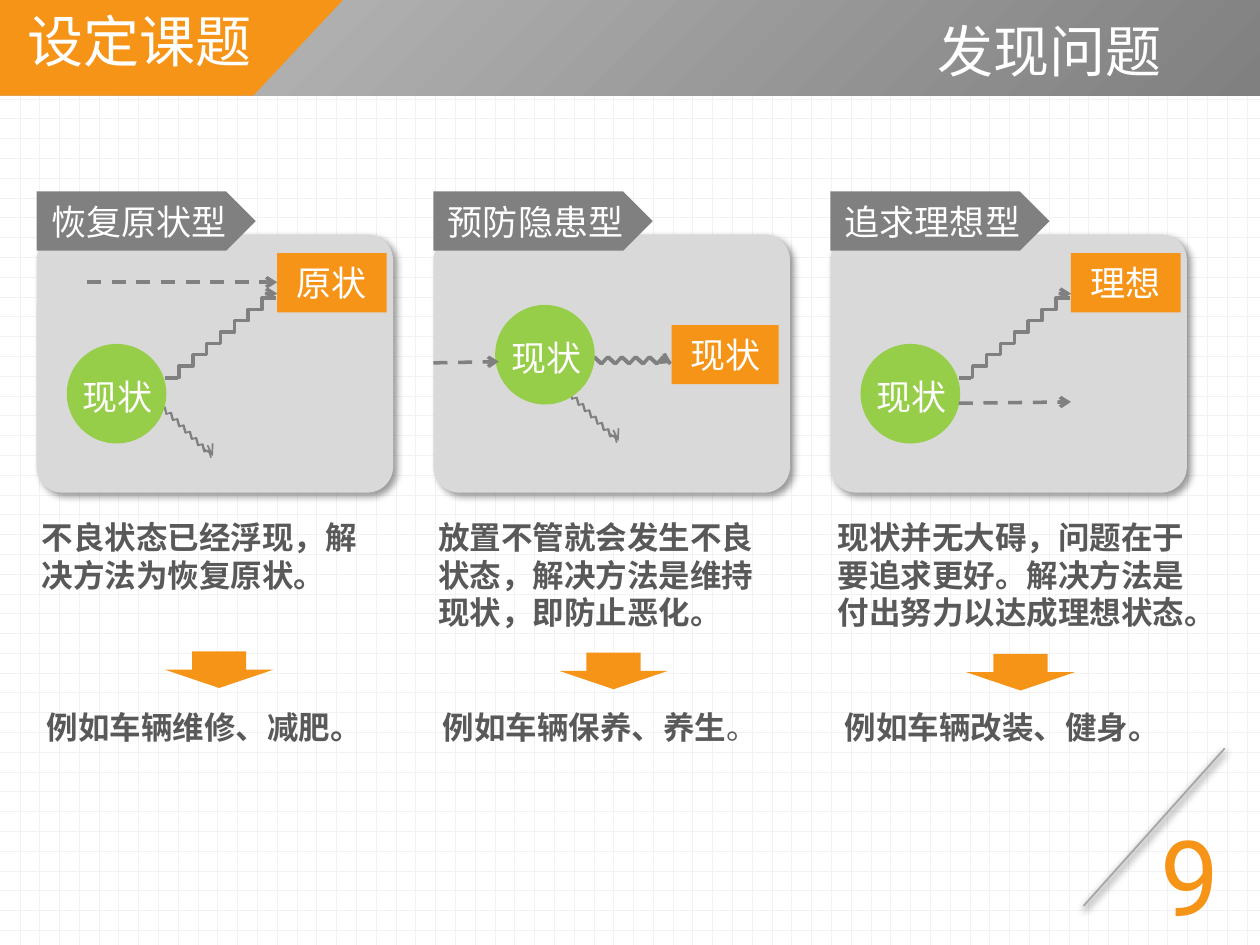
from dataclasses import dataclass
from typing import Optional

from lxml.etree import SubElement
from pptx import Presentation
from pptx.dml.color import RGBColor
from pptx.enum.dml import MSO_LINE, MSO_PATTERN
from pptx.enum.shapes import MSO_CONNECTOR, MSO_SHAPE
from pptx.enum.text import MSO_ANCHOR, MSO_AUTO_SIZE, PP_ALIGN
from pptx.oxml import parse_xml
from pptx.oxml.ns import nsdecls, qn
from pptx.util import Inches, Pt


@dataclass(frozen=True)
class Theme:
    orange: str = "F69418"
    green: str = "96CD49"
    gray: str = "808080"
    silver: str = "BFBFBF"
    rule: str = "A6A6A6"
    panel: str = "D9D9D9"
    grid: str = "F2F2F2"
    ink: str = "595959"
    white: str = "FFFFFF"
    font: str = "Noto Sans CJK SC"
    topic_font: str = "Noto Sans CJK JP"
    number_font: str = "Roboto"
    title: int = 32
    label: int = 20
    body: int = 18
    number: int = 60


T = Theme()


@dataclass(frozen=True)
class Zigzag:
    """A chain of elbows; all offsets are measured from its start point."""
    first: tuple
    step: tuple
    size: tuple
    rotation: int
    weight: int
    tail: tuple
    head: tuple
    count: int = 7


STAIRS = Zigzag((0.11, -0.05), (0.11, -0.09), (0.22, 0.09), 0, 2,
                (0.1, 0), (0.86, -0.67, 0.89, -0.67))
WAVE = Zigzag((0.08, 0.03), (0.11, 0), (0.16, 0.07), 42, 2,
              (0.05, 0.05), (0.81, 0.04, 0.83, 0.05))
DECLINE = Zigzag((0.03, 0.05), (0.05, 0.05), (0.12, 0.04), 75, 1,
                 (0.01, 0.06), (0.37, 0.37, 0.38, 0.39))


@dataclass(frozen=True)
class ProblemType:
    """One column; places are offsets from the top left of its panel."""
    name: str
    goal: str
    goal_box: tuple
    state_at: tuple
    trend: tuple
    zigzags: tuple
    text: str
    text_box: tuple
    arrow_at: tuple
    example: str
    example_box: tuple
    example_end: Optional[str] = None


PROBLEM_TYPES = (
    ProblemType("恢复原状型", "原状", (1.91, 0.15, 0.87, 0.47), (0.24, 0.87),
                (0.4, 0.38, 1.91, 0.38),
                ((STAIRS, 1.02, 1.14), (DECLINE, 1.02, 1.37)),
                "不良状态已经浮现，解决方法为恢复原状。", (0, 2.2, 2.83, 0.71),
                (1.02, 3.31), "例如车辆维修、减肥。", (-0.06, 3.71, 2.78, 0.4)),
    ProblemType("预防隐患型", "现状", (1.89, 0.72, 0.85, 0.47), (0.49, 0.56),
                (0, 1.02, 0.52, 1.01),
                ((WAVE, 1.06, 0.97), (DECLINE, 1.09, 1.25)),
                "放置不管就会发生不良状态，解决方法是维持现状，即防止恶化。",
                (0, 2.2, 2.83, 1.01),
                (1, 3.32), "例如车辆保养、养生", (-0.09, 3.71, 2.83, 0.4), "。"),
    ProblemType("追求理想型", "理想", (1.91, 0.15, 0.87, 0.47), (0.24, 0.87),
                (1.02, 1.34, 1.91, 1.33),
                ((STAIRS, 1.02, 1.14),),
                "现状并无大碍，问题在于要追求更好。解决方法是付出努力以达成理想状态。",
                (0.02, 2.2, 2.98, 1.01),
                (1.08, 3.33), "例如车辆改装、健身。", (-0.05, 3.71, 2.83, 0.4)),
)


def add_run(paragraph, text, size, color, font=T.font, bold=False):
    run = paragraph.add_run()
    run.text = text
    run.font.size, run.font.bold, run.font.name = Pt(size), bold, font
    run.font.color.rgb = RGBColor.from_string(color)
    SubElement(run.font._element, qn("a:ea"), typeface=font)


def add_text(slide, box, text, size, color, font=T.font, bold=False,
             align=PP_ALIGN.LEFT, anchor=MSO_ANCHOR.TOP, side=0.1):
    """Add a one-paragraph text box and return the paragraph."""
    frame = slide.shapes.add_textbox(*map(Inches, box)).text_frame
    frame.word_wrap = True
    frame.auto_size = MSO_AUTO_SIZE.NONE
    frame.vertical_anchor = anchor
    frame.margin_left = frame.margin_right = Inches(side)
    paragraph = frame.paragraphs[0]
    paragraph.alignment = align
    add_run(paragraph, text, size, color, font, bold)
    return paragraph


def add_block(slide, kind, box, color, label=None):
    block = slide.shapes.add_shape(kind, *map(Inches, box))
    block.shadow.inherit = False
    block.fill.solid()
    block.fill.fore_color.rgb = RGBColor.from_string(color)
    block.line.fill.background()
    if label:
        block.text_frame.vertical_anchor = MSO_ANCHOR.MIDDLE
        paragraph = block.text_frame.paragraphs[0]
        paragraph.alignment = PP_ALIGN.CENTER
        add_run(paragraph, label, T.label, T.white)
    return block


def add_shadow(properties, alpha, blur, distance, angle):
    effects = properties.find(qn("a:effectLst"))
    shadow = SubElement(effects, qn("a:outerShdw"), blurRad=str(Pt(blur)),
                        dist=str(Pt(distance)), dir=str(angle * 60000),
                        algn="tl", rotWithShape="0")
    color = SubElement(shadow, qn("a:srgbClr"), val="000000")
    SubElement(color, qn("a:alpha"), val=str(alpha * 1000))


def add_line(slide, ends, weight, color=T.gray, kind=MSO_CONNECTOR.STRAIGHT,
             arrow=False, dashed=False, rotation=0):
    line = slide.shapes.add_connector(kind, *map(Inches, ends))
    line.line.width = Pt(weight)
    line.line.color.rgb = RGBColor.from_string(color)
    if dashed:
        line.line.dash_style = MSO_LINE.DASH
    properties = line._element.spPr
    if arrow:
        SubElement(properties.find(qn("a:ln")), qn("a:tailEnd"), type="arrow")
    if rotation:
        properties.find(qn("a:xfrm")).set("rot", str(rotation * 60000))
    SubElement(properties, qn("a:effectLst"))
    return line


def add_zigzag(slide, zigzag, x, y):
    half_w, half_h = (length / 2 for length in zigzag.size)
    for i in range(zigzag.count):
        cx = x + zigzag.first[0] + i * zigzag.step[0]
        cy = y + zigzag.first[1] + i * zigzag.step[1]
        add_line(slide, (cx + half_w, cy - half_h, cx - half_w, cy + half_h),
                 zigzag.weight, kind=MSO_CONNECTOR.ELBOW, rotation=zigzag.rotation)
    add_line(slide, (x + zigzag.tail[0], y + zigzag.tail[1], x, y), zigzag.weight)
    x1, y1, x2, y2 = zigzag.head
    add_line(slide, (x + x1, y + y1, x + x2, y + y2), zigzag.weight, arrow=True)


def add_header(slide, width, height):
    band = add_block(slide, MSO_SHAPE.RECTANGLE, (0, 0, width, height), T.gray)
    properties = band._element.spPr
    properties.replace(properties.find(qn("a:solidFill")), parse_xml(
        f'<a:gradFill {nsdecls("a")} rotWithShape="1"><a:gsLst>'
        f'<a:gs pos="0"><a:srgbClr val="{T.gray}"/></a:gs>'
        f'<a:gs pos="100000"><a:srgbClr val="{T.silver}"/></a:gs></a:gsLst>'
        '<a:path path="circle"><a:fillToRect l="100000" t="100000"/></a:path>'
        '<a:tileRect r="-100000" b="-100000"/></a:gradFill>'))
    outline = slide.shapes.build_freeform(Inches(-0.03), Inches(height))
    corners = ((-0.02, -0.02), (2.74, -0.02), (2.01, height))
    outline.add_line_segments([(Inches(x), Inches(y)) for x, y in corners])
    topic_tab = outline.convert_to_shape()
    topic_tab.shadow.inherit = False
    topic_tab.fill.solid()
    topic_tab.fill.fore_color.rgb = RGBColor.from_string(T.orange)
    topic_tab.line.fill.background()
    add_text(slide, (6.5, 0.03, 3.66, 0.73), "发现问题", T.title, T.white,
             align=PP_ALIGN.CENTER, anchor=MSO_ANCHOR.MIDDLE)
    add_text(slide, (0.12, 0, 3.62, 0.64), "设定课题", T.title, T.white, T.topic_font)


def add_problem_type(slide, problem, left, top, width, height):
    def placed(box):
        return (left + box[0], top + box[1], *box[2:])

    panel = add_block(slide, MSO_SHAPE.ROUNDED_RECTANGLE, (left, top, width, height), T.panel)
    panel.adjustments[0] = 0.1
    add_shadow(panel._element.spPr, 40, 4, 3, 45)
    add_block(slide, MSO_SHAPE.RECTANGLE, placed(problem.goal_box), T.orange, problem.goal)
    for zigzag, x, y in problem.zigzags:
        add_zigzag(slide, zigzag, left + x, top + y)
    state_x, state_y = placed(problem.state_at)
    add_block(slide, MSO_SHAPE.OVAL, (state_x, state_y, 0.79, 0.79), T.green)
    add_text(slide, (state_x + 0.03, state_y + 0.2, 0.89, 0.44), "现状", T.label, T.white)
    x1, y1, x2, y2 = problem.trend
    add_line(slide, placed((x1, y1)) + placed((x2, y2)), 2, arrow=True, dashed=True)
    add_block(slide, MSO_SHAPE.PENTAGON, placed((0, -0.34, 1.74, 0.47)), T.gray, problem.name)

    add_text(slide, placed(problem.text_box), problem.text, T.body, T.ink, bold=True, side=0.04)
    add_block(slide, MSO_SHAPE.DOWN_ARROW, placed((*problem.arrow_at, 0.86, 0.29)), T.orange)
    example = add_text(slide, placed(problem.example_box), problem.example, T.body, T.ink,
                       bold=True, align=PP_ALIGN.CENTER, side=0.04)
    if problem.example_end:
        add_run(example, problem.example_end, T.body, T.ink)


def add_page_number(slide, left, top):
    rule = add_line(slide, (left + 1.12, top, left, top + 1.25), 1, T.rule)
    add_shadow(rule._element.spPr, 92, 5, 2, 90)
    add_text(slide, (left + 0.51, top + 0.45, 0.7, 1.11), "9", T.number, T.orange, T.number_font)


def main():
    deck = Presentation()
    deck.slide_width, deck.slide_height = Inches(10), Inches(7.5)
    slide = deck.slides.add_slide(deck.slide_layouts[6])
    backdrop = slide.background.fill
    backdrop.patterned()
    backdrop.pattern = MSO_PATTERN.DOTTED_GRID
    backdrop.fore_color.rgb = RGBColor.from_string(T.grid)
    backdrop.back_color.rgb = RGBColor.from_string(T.white)
    add_header(slide, 10, 0.76)
    for i, problem in enumerate(PROBLEM_TYPES):
        add_problem_type(slide, problem, 0.29 + 3.15 * i, 1.86, 2.83, 2.05)
    add_page_number(slide, 8.6, 5.94)
    deck.save("out.pptx")


if __name__ == "__main__":
    main()
